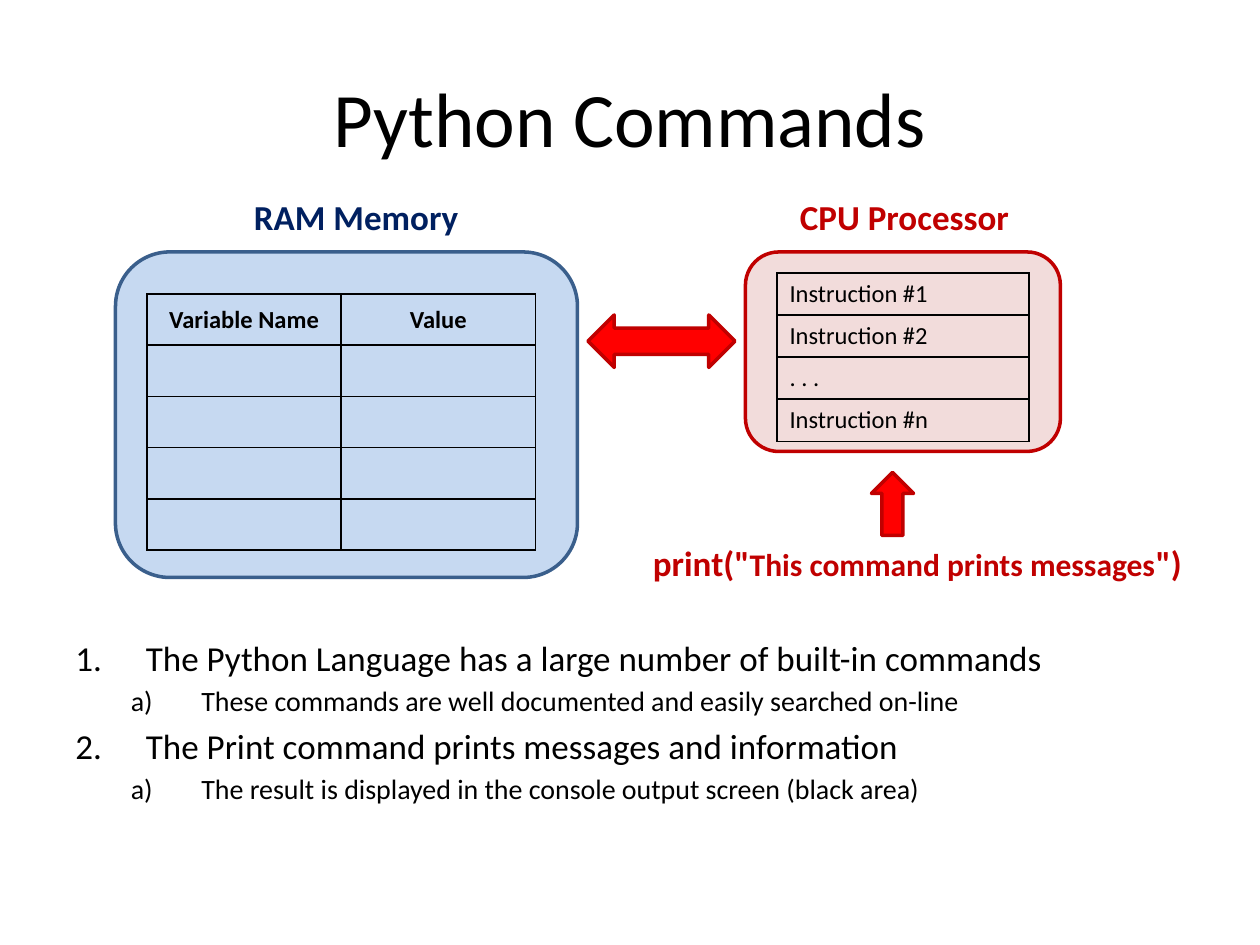
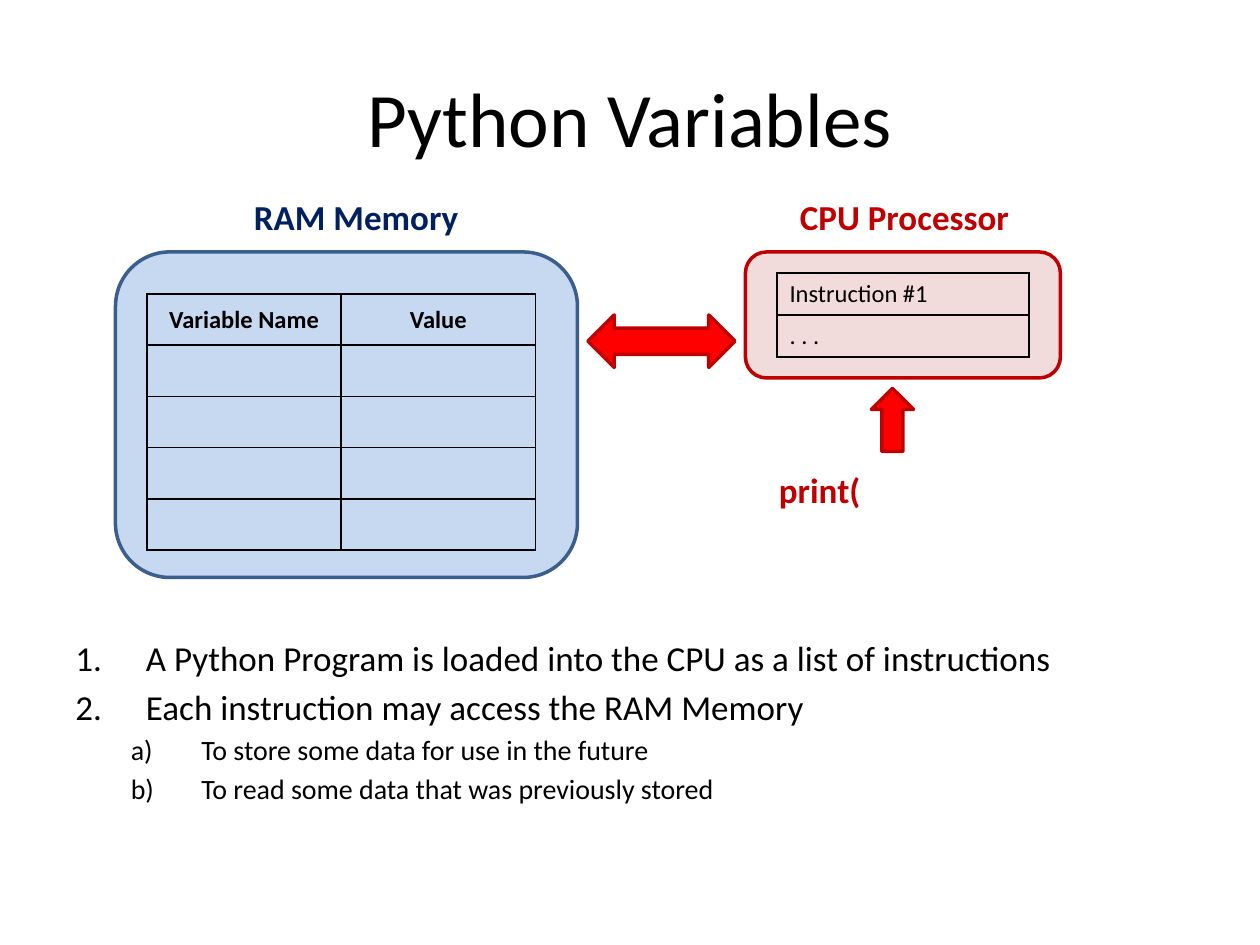
from dataclasses import dataclass

from lxml import etree
from pptx import Presentation
from pptx.dml.color import RGBColor
from pptx.enum.shapes import MSO_SHAPE
from pptx.enum.text import MSO_ANCHOR, PP_ALIGN
from pptx.oxml.ns import qn
from pptx.util import Inches, Pt

ROUND_RECT = MSO_SHAPE.ROUNDED_RECTANGLE
BUS_ARROW = MSO_SHAPE.LEFT_RIGHT_ARROW
UP_ARROW = MSO_SHAPE.UP_ARROW
LEFT, CENTER = PP_ALIGN.LEFT, PP_ALIGN.CENTER
TOP, MIDDLE = MSO_ANCHOR.TOP, MSO_ANCHOR.MIDDLE

# The slide is a grid of 120 columns by 90 rows, each a twelfth of an inch.
COLUMNS, ROWS = 120, 90
UNIT = Inches(1) // 12


@dataclass(frozen=True)
class Theme:
    font: str = "Calibri"
    ink: str = "000000"
    ram_text: str = "002060"
    ram_fill: str = "C6D9F1"
    ram_line: str = "3A5F8C"
    cpu_accent: str = "C00000"
    cpu_fill: str = "F2DCDB"
    arrow: str = "FF0000"
    title: int = 44
    label: int = 20
    message: int = 18
    cell: int = 14
    levels: tuple = (20, 16)
    outline: int = 2
    border: int = 1


THEME = Theme()
LABEL_HEIGHT = 5.3
NUMBERING = ("arabicPeriod", "alphaLcParenR")
NUMBER_INDENT = 0.56
LEVEL_MARGINS = (0.56, 1.0)

RAM_BOX = (11, 24, 44, 31)
BUS_BOX = (56, 30, 14, 5)
CPU_LEFT, CPU_TOP, CPU_WIDTH = 71, 24, 30
POINTS_BOX = (6, 60, 108, 20.4)
TITLE_BOX = (6, 3.6, 108, 15)


def grid(*values):
    return [round(value * UNIT) for value in values]


def style(font, size, color=THEME.ink, bold=False):
    font.name, font.size, font.bold = THEME.font, Pt(size), bold
    font.color.rgb = RGBColor.from_string(color)


def add_text(slide, box, anchor=TOP, wrap=True):
    frame = slide.shapes.add_textbox(*grid(*box)).text_frame
    frame.word_wrap = wrap
    frame.vertical_anchor = anchor
    return frame


def add_label(slide, box, text, color):
    paragraph = add_text(slide, box, wrap=False).paragraphs[0]
    paragraph.text = text
    style(paragraph.font, THEME.label, color, bold=True)


def add_block(slide, kind, box, fill, line):
    block = slide.shapes.add_shape(kind, *grid(*box))
    block.shadow.inherit = False
    block.fill.solid()
    block.fill.fore_color.rgb = RGBColor.from_string(fill)
    block.line.color.rgb = RGBColor.from_string(line)
    block.line.width = Pt(THEME.outline)


def add_borders(cell):
    properties = cell._tc.get_or_add_tcPr()
    for edge in ("a:lnL", "a:lnR", "a:lnT", "a:lnB"):
        line = etree.SubElement(properties, qn(edge), w=str(Pt(THEME.border)))
        fill = etree.SubElement(line, qn("a:solidFill"))
        etree.SubElement(fill, qn("a:srgbClr"), val=THEME.ink)


def add_grid_table(slide, box, rows, align=LEFT, anchor=TOP, bold=False):
    table = slide.shapes.add_table(len(rows), len(rows[0]), *grid(*box)).table
    table.first_row = table.horz_banding = False
    for row, texts in enumerate(rows):
        for column, text in enumerate(texts):
            cell = table.cell(row, column)
            add_borders(cell)
            cell.fill.background()
            cell.vertical_anchor = anchor
            paragraph = cell.text_frame.paragraphs[0]
            paragraph.text = text
            paragraph.alignment = align
            style(paragraph.font, THEME.cell, bold=bold)


def add_title(slide, box, text):
    paragraph = add_text(slide, box, MIDDLE).paragraphs[0]
    paragraph.text = text
    paragraph.alignment = CENTER
    style(paragraph.font, THEME.title)


def add_ram(slide, box):
    left, top, width, height = box
    add_block(slide, ROUND_RECT, box, THEME.ram_fill, THEME.ram_line)
    add_label(slide, (left + 12, top - 6, 22, LABEL_HEIGHT),
              "RAM Memory", THEME.ram_text)
    variables = [("Variable Name", "Value")] + [("", "")] * 4
    add_grid_table(slide, (left + 3, top + 4, width - 7, height - 6.6),
                   variables, CENTER, MIDDLE, bold=True)


def add_cpu(slide, box, instructions):
    left, top, width, _ = box
    add_block(slide, ROUND_RECT, box, THEME.cpu_fill, THEME.cpu_accent)
    add_label(slide, (left + 4, top - 6, 22.5, LABEL_HEIGHT),
              "CPU Processor", THEME.cpu_accent)
    add_grid_table(slide, (left + 3, top + 2, width - 6, 4 * len(instructions)),
                   [(instruction,) for instruction in instructions])


def add_command(slide, box, parts):
    """Write a command as (text, size) parts on one line."""
    paragraph = add_text(slide, box, wrap=False).paragraphs[0]
    for text, size in parts:
        run = paragraph.add_run()
        run.text = text
        style(run.font, size, THEME.cpu_accent, bold=True)


def add_points(slide, box, points):
    """Write (level, text) points as a nested numbered list."""
    frame = add_text(slide, box)
    for index, (level, text) in enumerate(points):
        paragraph = frame.add_paragraph() if index else frame.paragraphs[0]
        paragraph.text = text
        paragraph.level = level
        paragraph.space_before = Pt(0.2 * THEME.levels[level])
        style(paragraph.font, THEME.levels[level])
        properties = paragraph._p.get_or_add_pPr()
        properties.set("marL", str(Inches(LEVEL_MARGINS[level])))
        properties.set("indent", str(-Inches(NUMBER_INDENT)))
        number = etree.Element(qn("a:buAutoNum"), type=NUMBERING[level])
        properties.find(qn("a:spcBef")).addnext(number)


def add_machine_slide(deck, title, instructions, cpu_height, arrow_gap,
                      command_box, command, points):
    slide = deck.slides.add_slide(deck.slide_layouts[6])
    add_title(slide, TITLE_BOX, title)
    add_points(slide, POINTS_BOX, points)
    add_ram(slide, RAM_BOX)
    add_cpu(slide, (CPU_LEFT, CPU_TOP, CPU_WIDTH, cpu_height), instructions)
    add_block(slide, BUS_ARROW, BUS_BOX, THEME.arrow, THEME.cpu_accent)
    # The command enters the processor from below
    add_command(slide, command_box, command)
    arrow_box = (CPU_LEFT + 12, CPU_TOP + cpu_height + arrow_gap, 4, 6)
    add_block(slide, UP_ARROW, arrow_box, THEME.arrow, THEME.cpu_accent)


def main():
    deck = Presentation()
    deck.slide_width, deck.slide_height = grid(COLUMNS, ROWS)

    add_machine_slide(
        deck, "Python Commands",
        ["Instruction #1", "Instruction #2", ". . .", "Instruction #n"],
        cpu_height=19, arrow_gap=2,
        command_box=(61, 51, 53.9, LABEL_HEIGHT),
        command=[('print("', THEME.label),
                 ("This command prints messages", THEME.message),
                 ('")', THEME.label)],
        points=[
            (0, "The Python Language has a large number of built-in commands"),
            (1, "These commands are well documented and easily searched on-line"),
            (0, "The Print command prints messages and information"),
            (1, "The result is displayed in the console output screen (black area)"),
        ])

    add_machine_slide(
        deck, "Python Variables",
        ["Instruction #1", ". . ."],
        cpu_height=12, arrow_gap=1,
        command_box=(73, 44, 10.2, LABEL_HEIGHT),
        command=[("print(", THEME.label)],
        points=[
            (0, "A Python Program is loaded into the CPU as a list of instructions"),
            (0, "Each instruction may access the RAM Memory"),
            (1, "To store some data for use in the future"),
            (1, "To read some data that was previously stored"),
        ])

    deck.save("out.pptx")


if __name__ == "__main__":
    main()
